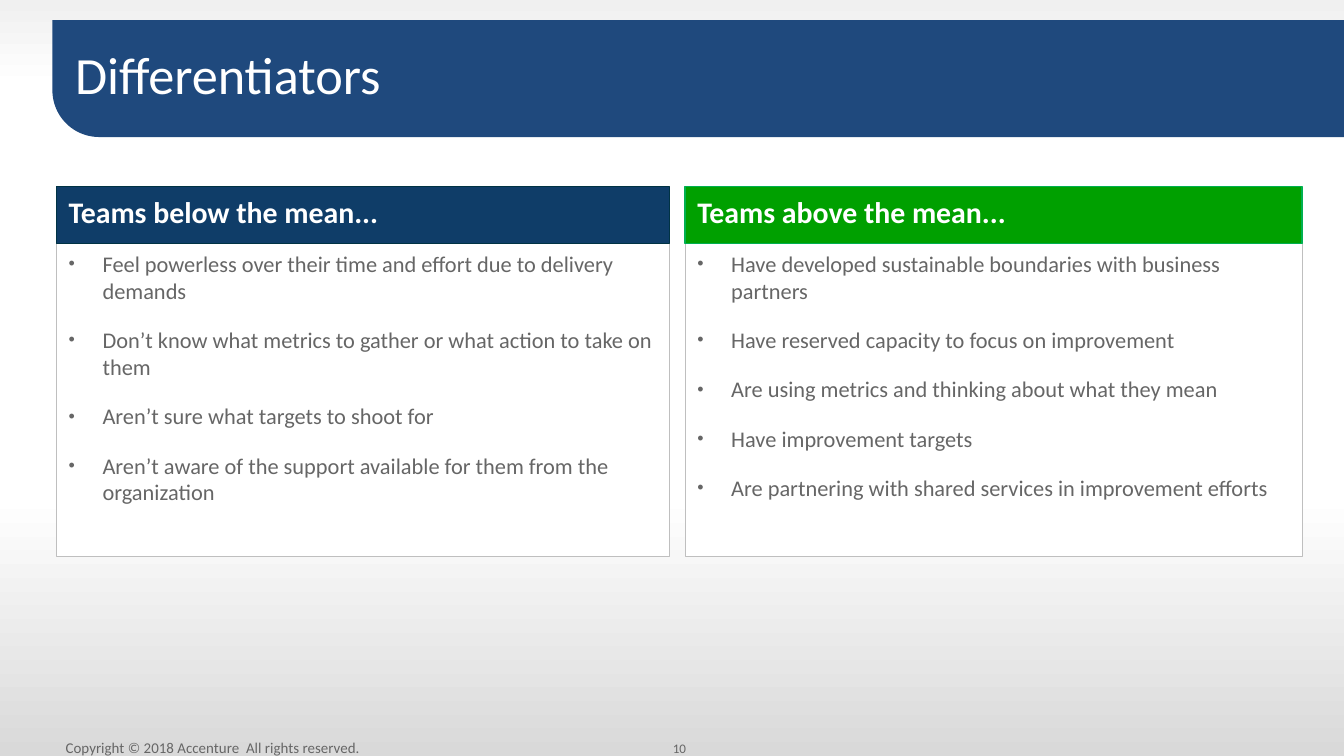
from lxml import etree
from pptx import Presentation
from pptx.dml.color import RGBColor
from pptx.enum import shapes, text
from pptx.oxml.ns import qn
from pptx.util import Cm, Pt

TITLE = "Differentiators"
GREY = "666666"
COLUMNS = [
    {"left": 1.07, "width": 11.58, "fill": "0F3D68", "line": "003344",
     "heading": "Teams below the mean...",
     "points": ["Feel powerless over their time and effort due to delivery demands",
                "Don’t know what metrics to gather or what action to take on them",
                "Aren’t sure what targets to shoot for",
                "Aren’t aware of the support available for them from the organization"]},
    {"left": 12.95, "width": 11.66, "fill": "00A000", "line": "00B050",
     "heading": "Teams above the mean...",
     "points": ["Have developed sustainable boundaries with business partners",
                "Have reserved capacity to focus on improvement",
                "Are using metrics and thinking about what they mean",
                "Have improvement targets",
                "Are partnering with shared services in improvement efforts"]},
]
HEAD_TOP, HEAD_HEIGHT, BODY_HEIGHT = 3.53, 1.07, 5.92
# top, height, shade at the outer edge, gradient angle
BANDS = [(12.17, 2.12, "F0F0F0", 90), (0, 1.65, "F0F0F0", 270), (9.37, 4.92, "D9D9D9", 90)]
# left, top, width, text, size
FOOTERS = [(0, 13.87, 8.05, "Copyright © 2018 Accenture  All rights reserved.", 8),
           (9.88, 13.89, 5.92, "10", 7)]


def rgb(value):
    return RGBColor.from_string(value)


def set_font(p, size, color, bold=False):
    for r in p.runs:
        r.font.name, r.font.size, r.font.bold = "Calibri", Pt(size), bold
        r.font.color.rgb = rgb(color)


def set_frame(tf, margins, anchor=text.MSO_ANCHOR.TOP):
    """Margins are left, top, right and bottom in cm."""
    tf.word_wrap = True
    tf.auto_size = text.MSO_AUTO_SIZE.NONE
    tf.vertical_anchor = anchor
    tf.margin_left, tf.margin_top, tf.margin_right, tf.margin_bottom = map(Cm, margins)


def add_box(s, kind, left, top, width, height, fill=None, line=None, line_width=0.75):
    box = s.shapes.add_shape(kind, Cm(left), Cm(top), Cm(width), Cm(height))
    box.shadow.inherit = False
    if fill:
        box.fill.solid()
        box.fill.fore_color.rgb = rgb(fill)
    if line:
        box.line.color.rgb = rgb(line)
        box.line.width = Pt(line_width)
    else:
        box.line.fill.background()
    return box


def add_bullet(p):
    pPr = p._p.get_or_add_pPr()
    pPr.set("marL", str(Cm(0.64)))
    pPr.set("indent", str(-Cm(0.64)))
    color = etree.SubElement(pPr, qn("a:buClr"))
    etree.SubElement(color, qn("a:srgbClr"), val=GREY)
    etree.SubElement(pPr, qn("a:buSzPct"), val="80000")
    etree.SubElement(pPr, qn("a:buFont"), typeface="Arial")
    etree.SubElement(pPr, qn("a:buChar"), char="•")


def add_column(s, column):
    left, width = column["left"], column["width"]
    rect, margins = shapes.MSO_SHAPE.RECTANGLE, (0.23, 0.13, 0.25, 0.13)

    body = add_box(s, rect, left, HEAD_TOP + HEAD_HEIGHT, width, BODY_HEIGHT,
                   "FFFFFF", "BFBFBF", 0.25)
    tf = body.text_frame
    set_frame(tf, margins)
    tf.text = "\n".join(column["points"])
    for i, p in enumerate(tf.paragraphs):
        add_bullet(p)
        p.alignment = text.PP_ALIGN.LEFT
        if i:
            p.space_before = Pt(12)
        set_font(p, 12, GREY)

    head = add_box(s, rect, left, HEAD_TOP, width, HEAD_HEIGHT, column["fill"], column["line"])
    tf = head.text_frame
    set_frame(tf, margins)
    tf.text = column["heading"]
    tf.paragraphs[0].alignment = text.PP_ALIGN.LEFT
    set_font(tf.paragraphs[0], 16, "FFFFFF", True)


def add_background(s):
    for top, height, shade, angle in BANDS:
        band = add_box(s, shapes.MSO_SHAPE.RECTANGLE, 0, top, 25.4, height)
        band.fill.gradient()
        band.fill.gradient_angle = angle
        for stop, color in zip(band.fill.gradient_stops, (shade, "FFFFFF")):
            stop.color.rgb = rgb(color)
    banner = add_box(s, shapes.MSO_SHAPE.ROUND_1_RECTANGLE, 0.99, 0.38, 24.41, 2.21, "1F497D")
    banner.rotation = 180
    banner.adjustments[0] = 0.4


def set_title(s):
    title = s.shapes.title
    s.shapes._spTree.append(title._element)  # in front of the banner
    title.left, title.top, title.width, title.height = Cm(1.32), Cm(0.41), Cm(23.57), Cm(2.18)
    tf = title.text_frame
    set_frame(tf, (0.1, 0, 0, 0), text.MSO_ANCHOR.MIDDLE)
    tf.text = TITLE
    p = tf.paragraphs[0]
    p.alignment = text.PP_ALIGN.LEFT
    p.line_spacing = 0.8
    set_font(p, 28, "FFFFFF")


def add_footer(s, left, top, width, label, size):
    tf = s.shapes.add_textbox(Cm(left), Cm(top), Cm(width), Cm(0.76)).text_frame
    set_frame(tf, (0.18, 0.1, 0.18, 0.1))
    tf.text = label
    tf.paragraphs[0].alignment = text.PP_ALIGN.CENTER
    set_font(tf.paragraphs[0], size, GREY)


def main():
    prs = Presentation()
    prs.slide_width, prs.slide_height = Cm(25.4), Cm(14.29)
    s = prs.slides.add_slide(prs.slide_layouts[5])
    add_background(s)
    set_title(s)
    for column in COLUMNS:
        add_column(s, column)
    for footer in FOOTERS:
        add_footer(s, *footer)
    prs.save("out.pptx")


if __name__ == "__main__":
    main()
